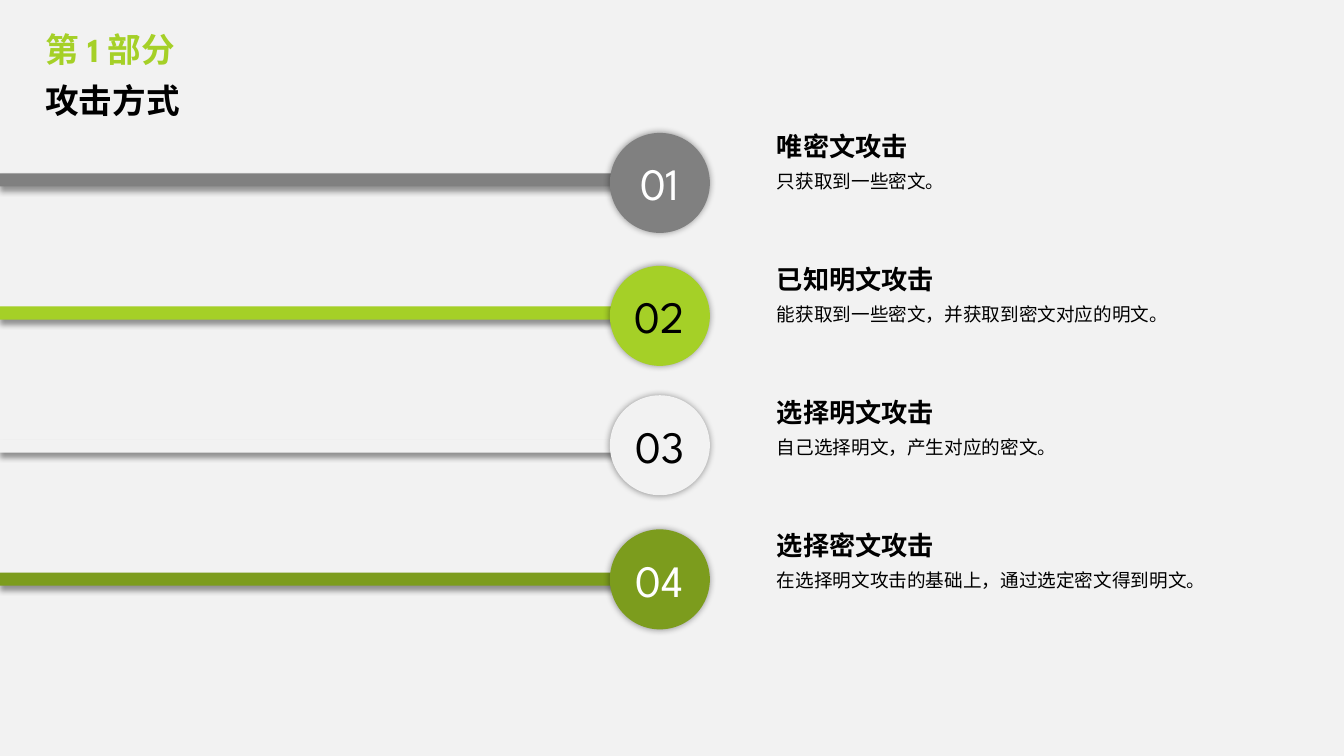
import pptx
import pptx.util
import pptx.dml.color
import pptx.enum.shapes
import pptx.enum.text
import pptx.oxml
import pptx.oxml.ns

Cm, Pt = pptx.util.Cm, pptx.util.Pt
RGBColor = pptx.dml.color.RGBColor
SHAPE = pptx.enum.shapes.MSO_SHAPE
ALIGN = pptx.enum.text.PP_ALIGN
ANCHOR = pptx.enum.text.MSO_ANCHOR
AUTO = pptx.enum.text.MSO_AUTO_SIZE

FONT = "League Spartan"
BLACK = RGBColor(0x00, 0x00, 0x00)
WHITE = RGBColor(0xFF, 0xFF, 0xFF)
PALE = RGBColor(0xF2, 0xF2, 0xF2)
GREY = RGBColor(0x80, 0x80, 0x80)
LIME = RGBColor(0xA5, 0xD0, 0x27)
OLIVE = RGBColor(0x7C, 0x9C, 0x1D)

# Content
SECTION = "第 1 部分"
TITLE = "攻击方式"
# number, heading, heading width (cm), description, fill, number colour, circle top (cm)
ATTACKS = [
    ("01", "唯密文攻击", 3.84, "只获取到一些密文。", GREY, WHITE, 3.35),
    ("02", "已知明文攻击", 4.5, "能获取到一些密文，并获取到密文对应的明文。", LIME, BLACK, 6.7),
    ("03", "选择明文攻击", 4.5, "自己选择明文，产生对应的密文。", PALE, BLACK, 9.96),
    ("04", "选择密文攻击", 4.5, "在选择明文攻击的基础上，通过选定密文得到明文。", OLIVE, WHITE, 13.34),
]

# Layout in cm
PITCH = 3.353
BAR_TOP, BAR_W, BAR_H = 4.37, 16.05, 0.33
CIRCLE_X, CIRCLE_D = 15.37, 2.52
TEXT_X, HEAD_TOP, DESC_TOP = 19.33, 2.92, 3.99


def add_run(tf, text, size, color, bold=False, spacing=None, align=ALIGN.LEFT):
    p = tf.paragraphs[0]
    p.alignment = align
    if spacing:
        p.line_spacing = spacing
    r = p.add_run()
    r.text = text
    r.font.size, r.font.bold, r.font.name = Pt(size), bold, FONT
    r.font.color.rgb = color
    ea = pptx.oxml.parse_xml(
        f'<a:ea {pptx.oxml.ns.nsdecls("a")} typeface="{FONT}"/>')
    r.font._element.append(ea)


def add_text(shapes, x, y, w, h, text, size, color, bold, spacing, wrap, auto):
    sp = shapes.add_textbox(Cm(x), Cm(y), Cm(w), Cm(h))
    tf = sp.text_frame
    tf.word_wrap, tf.auto_size = wrap, auto
    add_run(tf, text, size, color, bold, spacing)


def add_shadowed(slide, kind, x, y, w, h, fill, blur, dist, angle):
    sp = slide.shapes.add_shape(kind, Cm(x), Cm(y), Cm(w), Cm(h))
    sp.fill.solid()
    sp.fill.fore_color.rgb = fill
    sp.line.fill.background()
    sp.shadow.inherit = False
    effects = sp._element.spPr.find(pptx.oxml.ns.qn("a:effectLst"))
    effects.append(pptx.oxml.parse_xml(
        f'<a:outerShdw {pptx.oxml.ns.nsdecls("a")} blurRad="{Pt(blur)}" '
        f'dist="{Pt(dist)}" dir="{angle * 60000}" algn="ctr" rotWithShape="0">'
        '<a:srgbClr val="000000"><a:alpha val="40000"/></a:srgbClr></a:outerShdw>'))
    return sp


def main():
    prs = pptx.Presentation()
    prs.slide_width, prs.slide_height = Cm(33.87), Cm(19.05)
    slide = prs.slides.add_slide(prs.slide_layouts[5])
    slide.background.fill.solid()
    slide.background.fill.fore_color.rgb = PALE

    # Section label and title
    add_text(slide.shapes, 0.89, 0.71, 9.75, 1.17, SECTION, 24, LIME,
             True, 0.9, True, AUTO.NONE)
    title = slide.shapes.title
    title.left, title.top, title.width, title.height = Cm(0.89), Cm(1.88), Cm(9.75), Cm(1.47)
    tf = title.text_frame
    tf.word_wrap, tf.auto_size, tf.vertical_anchor = True, AUTO.NONE, ANCHOR.TOP
    add_run(tf, TITLE, 24, BLACK, True)

    # Bars run in from the left edge
    for i, (_, _, _, _, fill, _, _) in enumerate(ATTACKS):
        add_shadowed(slide, SHAPE.RECTANGLE, 0, BAR_TOP + i * PITCH, BAR_W, BAR_H,
                     fill, 4, 3, 90)

    # Numbered circles with heading and description
    for i, (number, heading, head_w, desc, fill, ink, top) in enumerate(ATTACKS):
        sp = add_shadowed(slide, SHAPE.OVAL, CIRCLE_X, top, CIRCLE_D, CIRCLE_D,
                          fill, 5, 0, 0)
        sp.text_frame.vertical_anchor = ANCHOR.MIDDLE
        add_run(sp.text_frame, number, 32, ink, align=ALIGN.CENTER)

        shapes = slide.shapes.add_group_shape().shapes
        y = i * PITCH
        add_text(shapes, TEXT_X, DESC_TOP + y, 11.23, 0.99, desc, 13.3, BLACK,
                 False, 1.3, True, AUTO.SHAPE_TO_FIT_TEXT)
        add_text(shapes, TEXT_X, HEAD_TOP + y, head_w, 1.19, heading, 18.7, BLACK,
                 True, 1.3, False, AUTO.SHAPE_TO_FIT_TEXT)

    prs.save("out.pptx")


if __name__ == "__main__":
    main()
